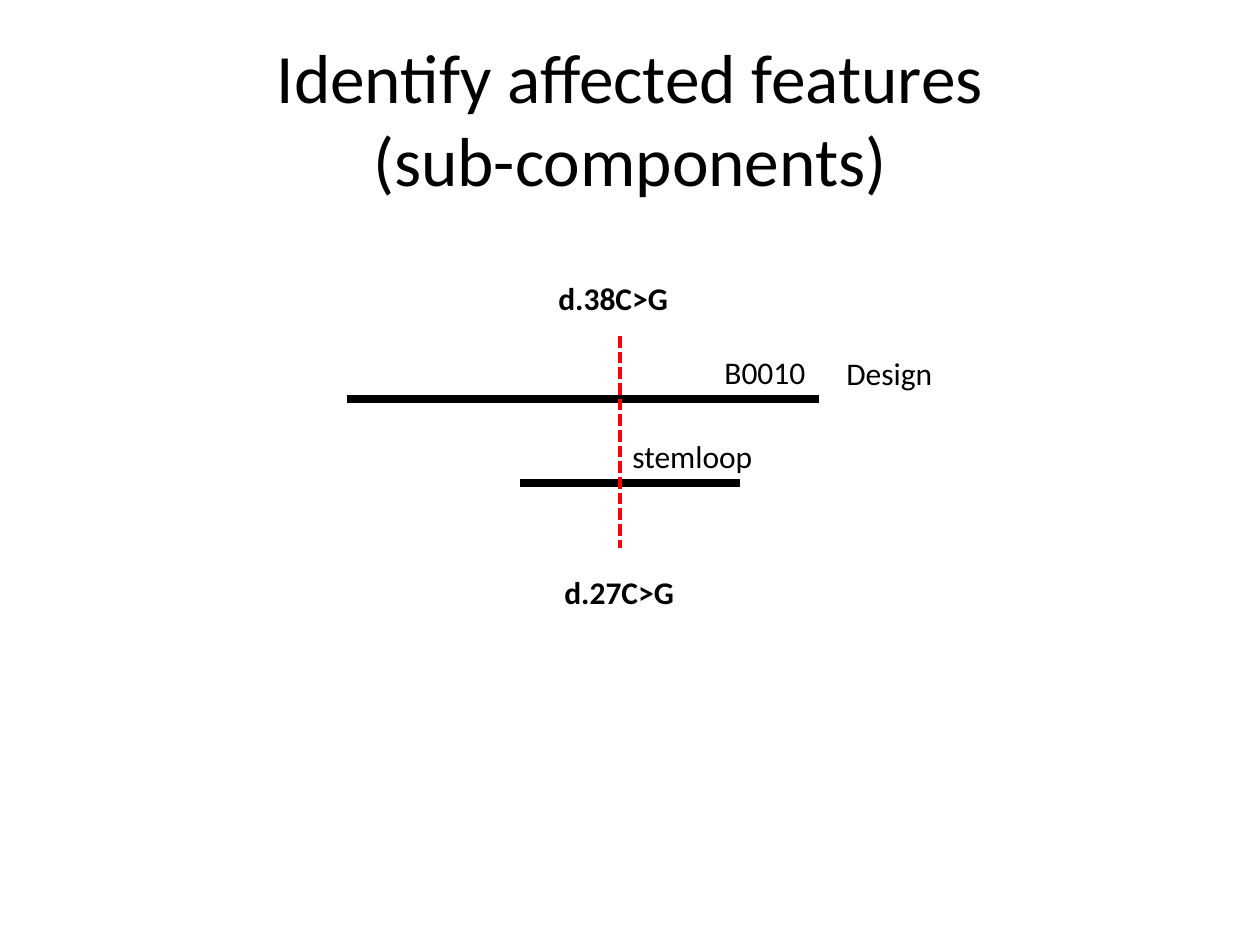
from lxml import etree
from pptx import Presentation
from pptx.dml.color import RGBColor
from pptx.enum.dml import MSO_LINE
from pptx.enum.shapes import MSO_CONNECTOR
from pptx.enum.text import MSO_ANCHOR, MSO_AUTO_SIZE, PP_ALIGN
from pptx.oxml.ns import qn
from pptx.util import Pt

PX = 914400 // 126
STRAIGHT = MSO_CONNECTOR.STRAIGHT
DOTTED = MSO_LINE.SQUARE_DOT
MIDDLE, TOP = MSO_ANCHOR.MIDDLE, MSO_ANCHOR.TOP
CENTER, LEFT = PP_ALIGN.CENTER, PP_ALIGN.LEFT
FIT_SHAPE, NO_FIT = MSO_AUTO_SIZE.SHAPE_TO_FIT_TEXT, MSO_AUTO_SIZE.NONE
BLACK, RED = "000000", "FF0000"
LABEL_HEIGHT = 50


def color(value):
    return RGBColor.from_string(value)


def apply(target, values):
    for name, value in values.items():
        setattr(target, name, value)


class SlideBuilder:
    font_name = "Calibri"

    def __init__(self, slide):
        self.slide = slide

    def text(self, content, box, size, frame_format, bold=False, align=LEFT):
        shape = self.slide.shapes.add_textbox(*(value * PX for value in box))
        apply(shape.text_frame, frame_format)
        paragraph = shape.text_frame.paragraphs[0]
        paragraph.text = content
        paragraph.alignment = align
        apply(paragraph.font, {"name": self.font_name, "size": Pt(size), "bold": bold})
        paragraph.font.color.rgb = color(BLACK)

    def title(self, content, box):
        frame_format = {"word_wrap": True, "auto_size": NO_FIT, "vertical_anchor": MIDDLE}
        self.text(content, box, 39.6, frame_format, align=CENTER)

    def label(self, content, left, top, width, bold=False):
        frame_format = {"word_wrap": False, "auto_size": FIT_SHAPE, "vertical_anchor": TOP}
        self.text(content, (left, top, width, LABEL_HEIGHT), 18, frame_format, bold)

    def line(self, start, end, stroke, width, dash=None):
        points = (value * PX for value in (*start, *end))
        connector = self.slide.shapes.add_connector(STRAIGHT, *points)
        connector.line.color.rgb = color(stroke)
        apply(connector.line, {"width": Pt(width), "dash_style": dash})
        properties = connector.element.find(qn("p:spPr"))
        etree.SubElement(properties, qn("a:effectLst"))


def main():
    presentation = Presentation()
    apply(presentation, {"slide_width": 1260 * PX, "slide_height": 945 * PX})
    builder = SlideBuilder(presentation.slides.add_slide(presentation.slide_layouts[6]))

    builder.title("Identify affected features\n(sub-components)", (63, 38, 1134, 158))

    # Sequence features
    for left, right, y in ((347, 819, 399), (520, 740, 483)):
        builder.line((left, y), (right, y), BLACK, 4.5)

    # Feature names
    builder.label("Design", 834, 348, 112)
    builder.label("B0010", 712, 347, 107)
    builder.label("stemloop", 620, 431, 146)

    # Mutation position and its name in each feature's coordinates
    builder.line((620, 336), (620, 548), RED, 2.25, DOTTED)
    builder.label("d.38C>G", 546, 273, 136, bold=True)
    builder.label("d.27C>G", 552, 567, 136, bold=True)

    presentation.save("out.pptx")


if __name__ == "__main__":
    main()
